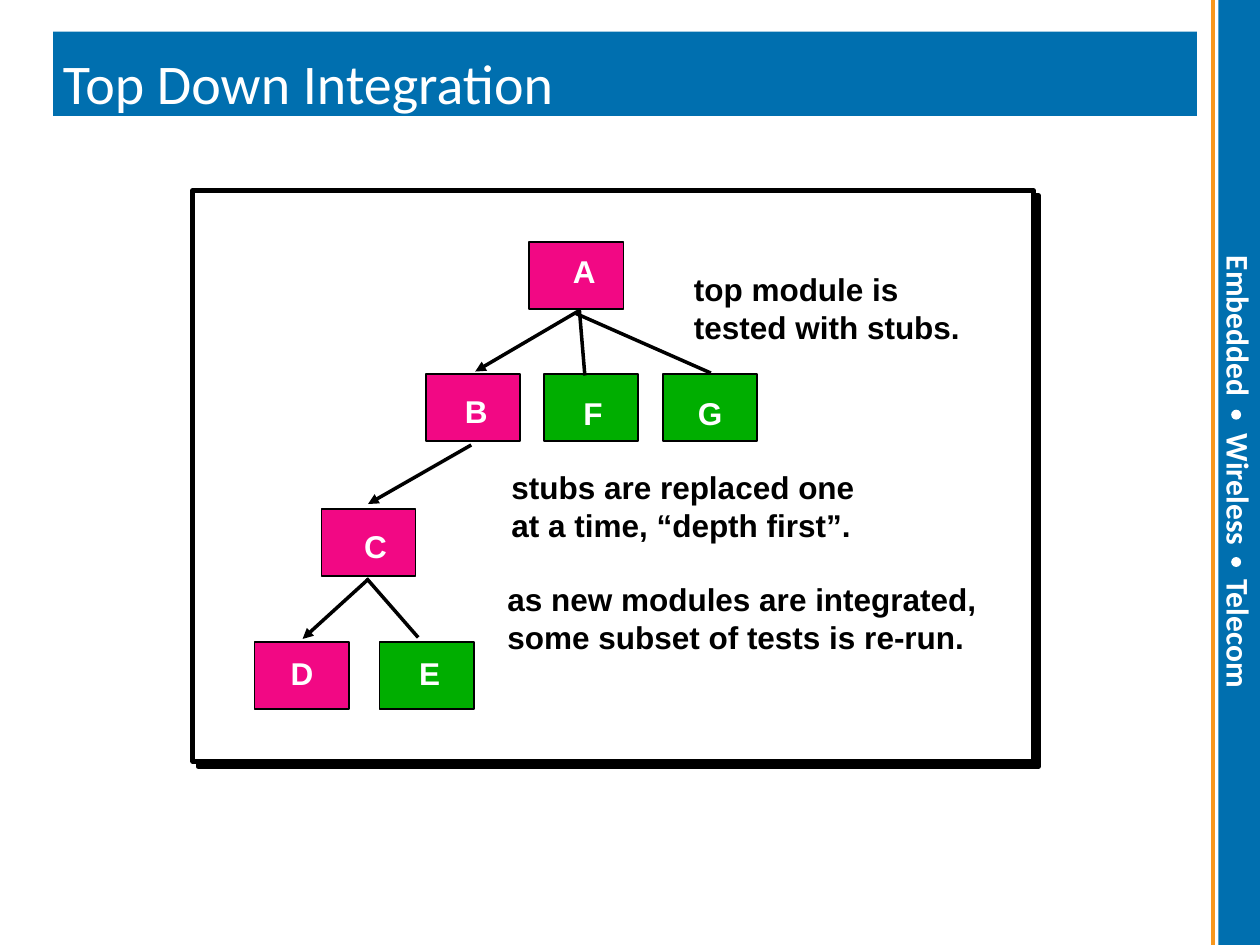
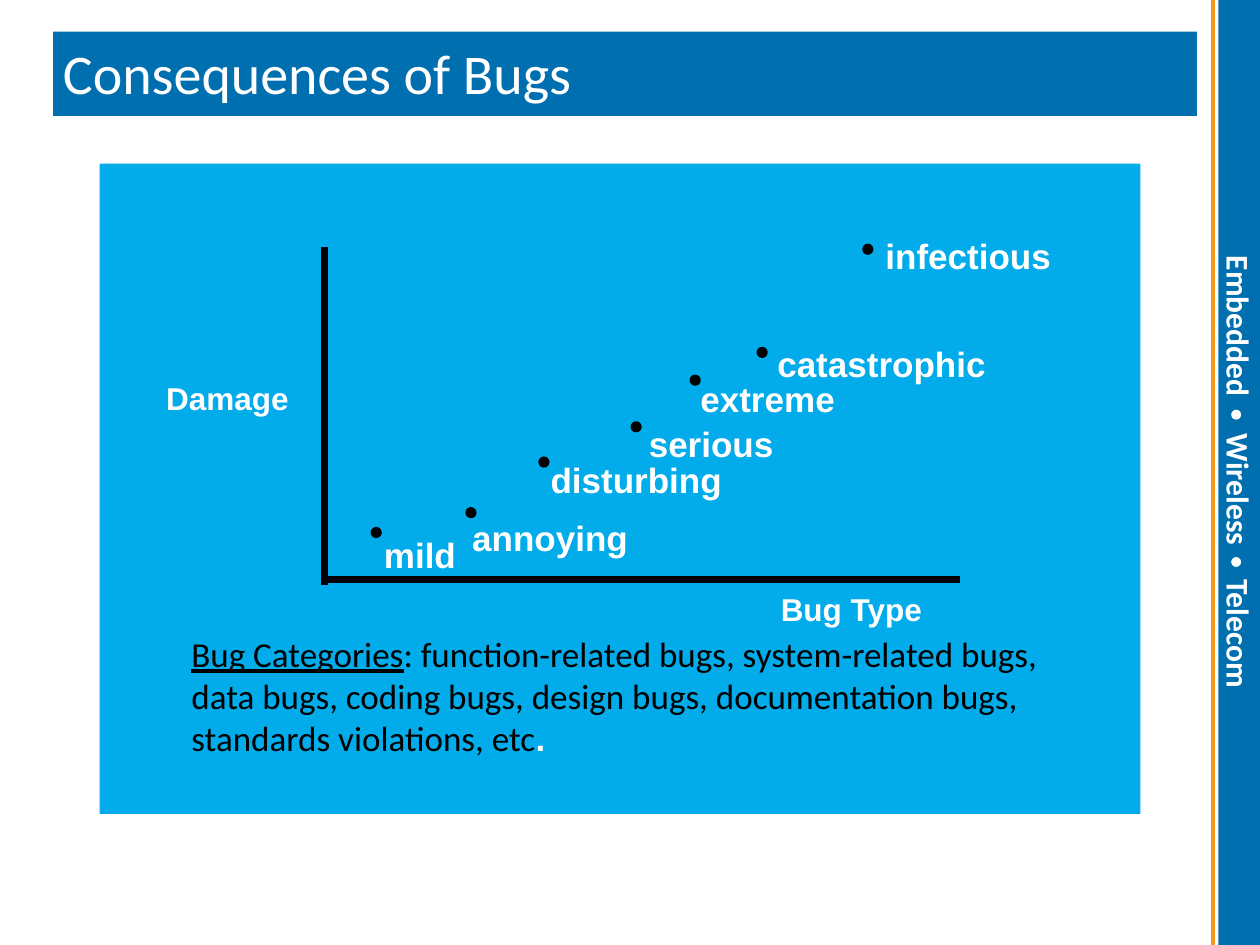
import pptx
import pptx.util
import pptx.dml.color
import pptx.enum.shapes
import pptx.enum.text
import pptx.oxml
import pptx.oxml.ns
from dataclasses import dataclass
from lxml import etree

Cm = pptx.util.Cm
Pt = pptx.util.Pt
SHAPE = pptx.enum.shapes.MSO_SHAPE
ANCHOR = pptx.enum.text.MSO_ANCHOR


@dataclass(frozen=True)
class Theme:
    band: str = "006FAF"
    accent: str = "F8971C"
    panel: str = "02ABEA"
    tested: str = "F20884"
    stub: str = "00AE00"
    light: str = "FFFFFF"
    dark: str = "000000"
    heading_font: str = "Calibri"
    label_font: str = "Arial"
    title_size: int = 32
    large_size: int = 20
    label_size: int = 18


theme = Theme()

# Content; every length is in centimetres
SLIDE_WIDTH, SLIDE_HEIGHT = 25.4, 19.05
SIDE_WORDS = ("Embedded", "Wireless", "Telecom")
SIDE_TEXT_TOP = 5.16
SIDE_TABS = (3.58, 6.53)
SIDE_DOT_TOPS = (8.26, 11.23)

MODULE_SIZE = (1.9, 1.35)
MODULES = [  # name, box corner, letter corner, colour
    ("A", (10.67, 4.88), (11.3, 4.95), theme.tested),
    ("B", (8.59, 7.54), (9.12, 7.77), theme.tested),
    ("C", (6.48, 10.26), (7.09, 10.49), theme.tested),
    ("D", (5.13, 12.95), (5.61, 13.06), theme.tested),
    ("E", (7.65, 12.95), (8.2, 13.06), theme.stub),
    ("F", (10.97, 7.54), (11.51, 7.82), theme.stub),
    ("G", (13.36, 7.54), (13.82, 7.82), theme.stub),
]
CALLS = [  # start, end, arrowhead
    ((7.39, 11.66), (8.43, 12.85), False),
    ((11.68, 6.25), (11.79, 7.57), False),
    ((11.61, 6.32), (14.33, 7.52), False),
    ((11.66, 6.27), (9.58, 7.49), True),
    ((9.5, 8.97), (7.42, 10.16), True),
    ((7.42, 11.68), (6.1, 12.88), True),
]
NOTES = [
    ("top module is tested with stubs.", (13.74, 5.31, 6.5, 1.78)),
    ("stubs are replaced one at a time, “depth first”.", (10.06, 9.3, 7.98, 1.78)),
    ("as new modules are integrated, some subset of tests is re-run.",
     (9.98, 11.56, 10.62, 1.78)),
]

BUGS = [  # name, dot corner, label corner, label width
    ("mild", (7.49, 10.64), (7.49, 10.62), 1.96),
    ("annoying", (9.4, 10.24), (9.27, 10.29), 3.66),
    ("disturbing", (10.87, 9.22), (10.85, 9.12), 3.96),
    ("serious", (12.73, 8.51), (12.83, 8.38), 3.02),
    ("extreme", (13.92, 7.57), (13.87, 7.49), 3.23),
    ("catastrophic", (15.27, 7.01), (15.42, 6.78), 4.9),
    ("infectious", (17.4, 4.93), (17.6, 4.6), 3.84),
]
AXES = [((6.55, 4.98), (6.55, 11.79)), ((6.6, 11.68), (19.35, 11.68))]
AXIS_TITLES = [("Damage", (3.1, 7.52, 2.97, 1.02)),
               ("Bug Type", (15.49, 11.76, 3.4, 1.02))]
CATEGORIES = [
    ("Bug Categories", dict(underline=True)),
    (": function-related bugs, system-related bugs, data bugs, coding bugs, "
     "design bugs, documentation bugs, standards violations, etc", {}),
    (".", dict(font=theme.label_font, color=theme.light, bold=True)),
]


def rgb(color):
    return pptx.dml.color.RGBColor.from_string(color)


def add_box(slide, kind, at, fill, line=None, line_width=1):
    shape = slide.shapes.add_shape(kind, *(Cm(length) for length in at))
    shape.shadow.inherit = False
    shape.fill.solid()
    shape.fill.fore_color.rgb = rgb(fill)
    if line:
        shape.line.color.rgb = rgb(line)
        shape.line.width = Pt(line_width)
    else:
        shape.line.fill.background()
    return shape


def add_line(slide, start, end, color, width, arrow=False):
    line = slide.shapes.add_connector(
        pptx.enum.shapes.MSO_CONNECTOR.STRAIGHT, *(Cm(length) for length in start + end))
    line.line.color.rgb = rgb(color)
    line.line.width = Pt(width)
    properties = line._element.spPr
    if arrow:
        etree.SubElement(line.line._get_or_add_ln(),
                         pptx.oxml.ns.qn("a:tailEnd"), type="triangle")
    etree.SubElement(properties, pptx.oxml.ns.qn("a:effectLst"))


def write_text(shape, text, font=theme.label_font, size=theme.label_size,
               color=theme.dark, bold=False, underline=None, wrap=True,
               insets=(0.25, 0.13), anchor=ANCHOR.TOP, spacing=None):
    """Write a string, or a list of (string, format changes) runs."""
    frame = shape.text_frame
    frame.word_wrap = wrap
    frame.vertical_anchor = anchor
    frame.margin_left = frame.margin_right = Cm(insets[0])
    frame.margin_top = frame.margin_bottom = Cm(insets[1])
    paragraph = frame.paragraphs[0]
    paragraph.alignment = pptx.enum.text.PP_ALIGN.LEFT
    if spacing:
        paragraph.line_spacing = spacing
    base = dict(font=font, color=color, bold=bold, underline=underline)
    for words, changes in ([(text, {})] if isinstance(text, str) else text):
        style = {**base, **changes}
        run = paragraph.add_run()
        run.text = words
        run.font.name = style["font"]
        run.font.size = Pt(size)
        run.font.bold = style["bold"]
        run.font.underline = style["underline"]
        run.font.color.rgb = rgb(style["color"])
    return paragraph


def add_text(slide, text, at, **style):
    box = slide.shapes.add_textbox(*(Cm(length) for length in at))
    write_text(box, text, **style)


def add_slide(presentation, title, title_top):
    """Start a slide with the bands and title that all slides share."""
    slide = presentation.slides.add_slide(presentation.slide_layouts[6])
    add_box(slide, SHAPE.RECTANGLE, (1.07, 0.64, 23.06, 1.7), theme.band)
    side = add_box(slide, SHAPE.RECTANGLE, (24.56, 0, 0.84, SLIDE_HEIGHT), theme.band)
    paragraph = write_text(side, "\t".join(SIDE_WORDS), font=theme.heading_font,
                           color=theme.light, bold=True, insets=(0.13, 0.25),
                           anchor=ANCHOR.MIDDLE)
    side.text_frame.margin_top = Cm(SIDE_TEXT_TOP)
    side.text_frame._txBody.bodyPr.set("vert", "eaVert")
    tabs = etree.SubElement(paragraph._p.get_or_add_pPr(), pptx.oxml.ns.qn("a:tabLst"))
    for position in SIDE_TABS:
        etree.SubElement(tabs, pptx.oxml.ns.qn("a:tab"), pos=str(Cm(position)), algn="l")
    add_line(slide, (24.46, 0), (24.46, SLIDE_HEIGHT), theme.accent, 2.25)
    for top in SIDE_DOT_TOPS:
        add_box(slide, SHAPE.OVAL, (24.82, top, 0.2, 0.2), theme.light)
    add_text(slide, title, (1.27, title_top, 22.86, 2.92), font=theme.heading_font,
             size=theme.title_size, color=theme.light, insets=(0, 0),
             anchor=ANCHOR.MIDDLE, spacing=0.88)
    return slide


def add_hard_shadow(shape, distance):
    effects = shape._element.spPr.find(pptx.oxml.ns.qn("a:effectLst"))
    shadow = etree.SubElement(effects, pptx.oxml.ns.qn("a:outerShdw"), blurRad="0",
                              dist=str(Pt(distance)), dir="2700000", algn="tl")
    etree.SubElement(shadow, pptx.oxml.ns.qn("a:srgbClr"), val=theme.dark)


presentation = pptx.Presentation()
presentation.slide_width = Cm(SLIDE_WIDTH)
presentation.slide_height = Cm(SLIDE_HEIGHT)

# Slide 1: module tree with notes
slide = add_slide(presentation, "Top Down Integration", 0.28)
frame = add_box(slide, SHAPE.RECTANGLE, (3.89, 3.84, 16.94, 11.51),
                theme.light, theme.dark, 2.83)
add_hard_shadow(frame, 4.2)
for name, corner, letter_corner, color in MODULES:
    add_box(slide, SHAPE.RECTANGLE, corner + MODULE_SIZE, color, theme.dark)
    add_text(slide, name, letter_corner + (0.97, 1.02), color=theme.light,
             bold=True, wrap=False)
for start, end, arrow in CALLS:
    add_line(slide, start, end, theme.dark, 2, arrow)
for note, at in NOTES:
    add_text(slide, note, at, bold=True)

# Slide 2: damage against bug type
slide = add_slide(presentation, "Consequences of Bugs", 0.08)
add_box(slide, SHAPE.RECTANGLE, (2.01, 3.3, 20.98, 13.11), theme.panel)
for start, end in AXES:
    add_line(slide, start, end, theme.dark, 4)
for name, at in AXIS_TITLES:
    add_text(slide, name, at, color=theme.light, bold=True, wrap=False)
for name, dot_corner, label_corner, width in BUGS:
    add_box(slide, SHAPE.OVAL, dot_corner + (0.19, 0.19), theme.dark, theme.dark)
    add_text(slide, name, label_corner + (width, 1.09), size=theme.large_size,
             color=theme.light, bold=True, wrap=False)
add_text(slide, CATEGORIES, (3.68, 12.67, 18.67, 2.69), font=theme.heading_font,
         size=theme.large_size, insets=(0.18, 0.08))

presentation.save("out.pptx")
